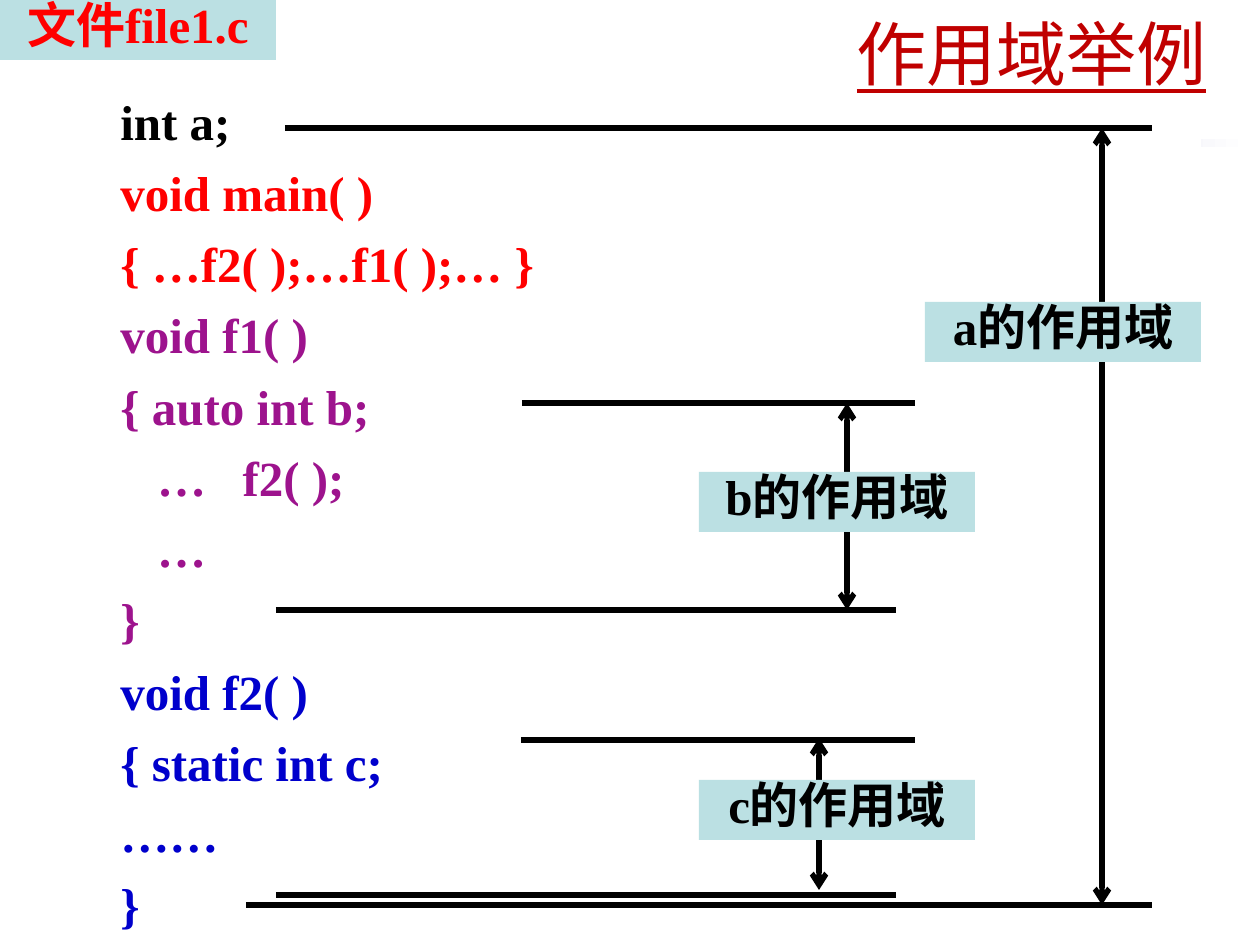
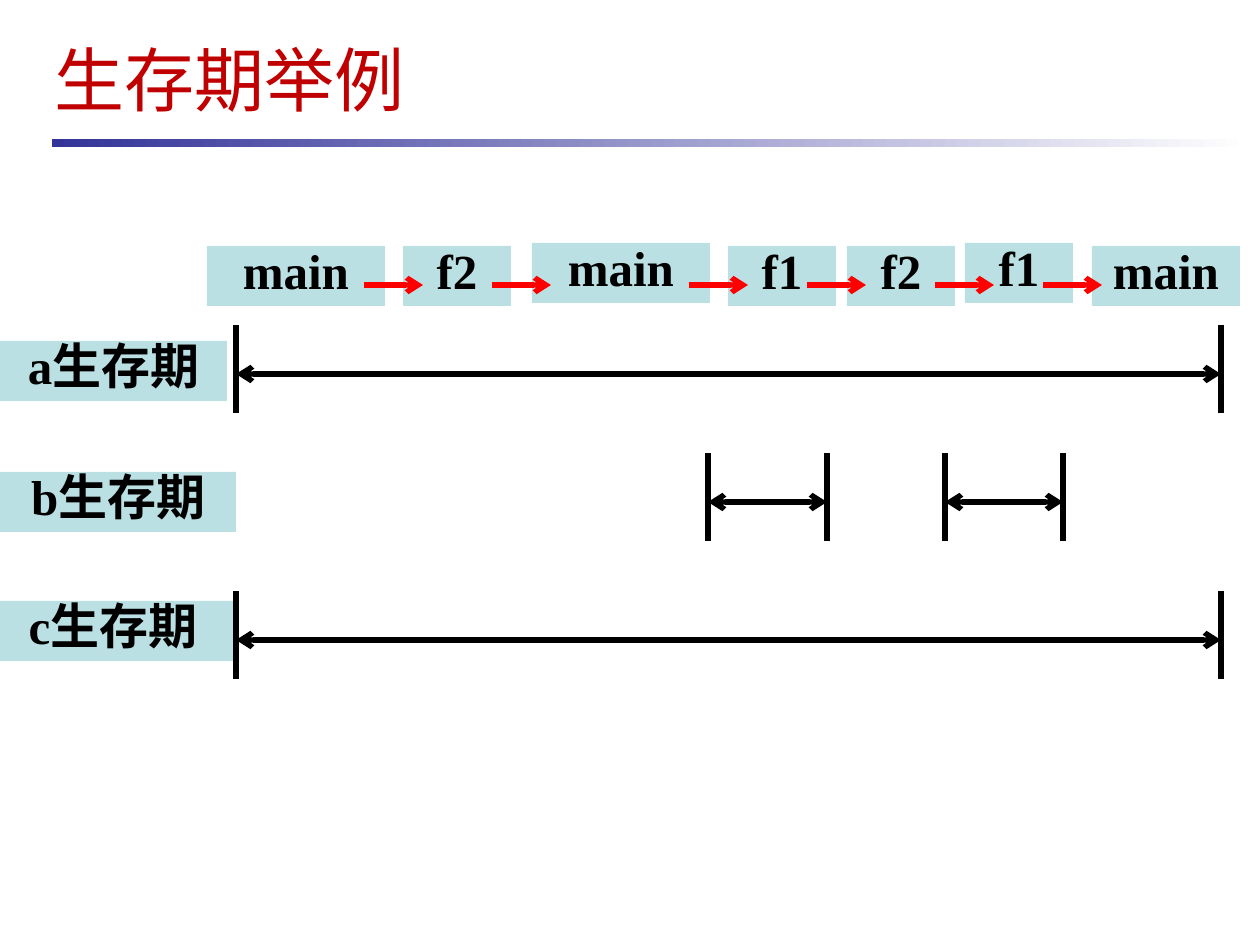
from lxml import etree
from pptx import Presentation
from pptx import util as u
from pptx.dml.color import RGBColor
from pptx.enum import shapes, text
from pptx.oxml.ns import qn

PX = 914400 / 126  # EMU in one px
LATIN, CJK = "Times New Roman", "Noto Sans CJK SC"
BLACK, WHITE, RED = "000000", "FFFFFF", "FF0000"
PURPLE, BLUE, TITLE_RED = "9D138D", "0000CC", "C00000"
LABEL_FILL, RULE_START = "BBE0E3", "333399"
LABEL_HEIGHT = 60

# Slide 1: code coloured by function, and the scope of each variable
CODE = [
    (BLACK, ["int a;"]),
    (RED, ["void main( )", "{ …f2( );…f1( );… }"]),
    (PURPLE, ["void f1( )", "{ auto int b;", "   …   f2( );", "   …", "}"]),
    (BLUE, ["void f2( )", "{ static int c;", "……", "}"]),
]
# name, label left and top, arrow x, arrow top and bottom, top line, bottom line
SCOPES = [
    ("a", (925, 302), 1102, (128, 905), (285, 128, 1152), (246, 905, 1152)),
    ("b", (699, 472), 847, (403, 610), (522, 403, 915), (276, 610, 896)),
    ("c", (699, 780), 819, (738, 890), (521, 740, 915), (276, 895, 896)),
]

# Slide 2: call order (name, left, top, width) and lifetimes
CALLS = [
    ("main", 207, 246, 178), ("f2", 403, 246, 108), ("main", 532, 243, 178),
    ("f1", 728, 246, 108), ("f2", 847, 246, 108), ("f1", 965, 243, 108),
    ("main", 1092, 246, 148),
]
CALL_ARROWS = [364, 492, 689, 807, 935, 1043]
CALL_ARROW_Y, CALL_ARROW_LENGTH = 285, 59
# name, label left, top and width, arrow y, start and end of each lifetime
LIFETIMES = [
    ("a", (0, 341, 227), 374, [(236, 1221)]),
    ("b", (0, 472, 236), 502, [(708, 827), (945, 1063)]),
    ("c", (-10, 601, 246), 640, [(236, 1221)]),
]
TICK_ABOVE, TICK_BELOW = 49, 39


def px(*lengths):
    return [u.Emu(round(length * PX)) for length in lengths]


def color(hex_value):
    return RGBColor.from_string(hex_value)


def add_span(para, words, size, hex_value, bold=False, underline=None, latin=LATIN):
    span = para.add_run()
    span.text = words
    span.font.size = u.Pt(size)
    span.font.bold = bold
    span.font.underline = underline
    span.font.color.rgb = color(hex_value)
    span.font.name = latin
    etree.SubElement(span.font._element, qn("a:ea"), typeface=CJK)


def add_block(page, left, top, width, height, fill=None):
    block = page.shapes.add_shape(
        shapes.MSO_SHAPE.RECTANGLE, *px(left, top, width, height))
    block.shadow.inherit = False
    block.line.fill.background()
    if fill:
        block.fill.solid()
        block.fill.fore_color.rgb = color(fill)
    return block


def add_label(page, words, left, top, width=276, hex_value=BLACK):
    frame = add_block(page, left, top, width, LABEL_HEIGHT, LABEL_FILL).text_frame
    frame.word_wrap = True
    frame.vertical_anchor = text.MSO_ANCHOR.TOP
    para = frame.paragraphs[0]
    para.alignment = text.PP_ALIGN.CENTER
    para.line_spacing = 0.8
    add_span(para, words, 28, hex_value, bold=True)


def add_line(page, x1, y1, x2, y2, hex_value=BLACK, ends=()):
    line = page.shapes.add_connector(
        shapes.MSO_CONNECTOR.STRAIGHT, *px(x1, y1, x2, y2))
    line.line.width = u.Pt(3)
    line.line.color.rgb = color(hex_value)
    for end in ends:
        etree.SubElement(line.line._ln, qn("a:" + end), type="arrow")
    etree.SubElement(line._element.spPr, qn("a:effectLst"))


def add_text_box(page, left, top, width, height):
    frame = page.shapes.add_textbox(*px(left, top, width, height)).text_frame
    frame.word_wrap = True
    return frame


def add_title(page, words, place, align, **style):
    frame = add_text_box(page, *place)
    frame.vertical_anchor = text.MSO_ANCHOR.MIDDLE
    para = frame.paragraphs[0]
    para.alignment = align
    add_span(para, words, 40, TITLE_RED, **style)


def add_page(deck):
    """Blank page with the fading rule."""
    page = deck.slides.add_slide(deck.slide_layouts[6])
    rule = add_block(page, 52, 139, 1198, 8)
    rule.fill.gradient()
    rule.fill.gradient_angle = 0
    for stop, position, hex_value in zip(
            rule.fill.gradient_stops, (0, 1), (RULE_START, WHITE)):
        stop.position = position
        stop.color.rgb = color(hex_value)
    return page


BOTH_ENDS = ("headEnd", "tailEnd")


def build_scope_page(deck):
    page = add_page(deck)
    add_block(page, 32, 105, 1169, 63, WHITE)  # hides most of the rule

    # Code listing
    frame = add_text_box(page, 108, 85, 640, 840)
    lines = [(hex_value, line) for hex_value, group in CODE for line in group]
    for number, (hex_value, line) in enumerate(lines):
        para = frame.add_paragraph() if number else frame.paragraphs[0]
        if number:
            para.space_before = u.Pt(7.1)
        add_span(para, line, 28, hex_value, bold=True)

    # Scope arrows, labels and limits
    for name, place, x, (top, bottom), *limits in SCOPES:
        add_line(page, x, top, x, bottom, ends=BOTH_ENDS)
        add_label(page, name + "的作用域", *place)
        for left, y, right in limits:
            add_line(page, left, y, right, y)

    add_label(page, "文件file1.c", 0, 0, hex_value=RED)
    add_title(page, "作用域举例", (353, 21, 866, 63), text.PP_ALIGN.RIGHT,
              underline=True)


def build_lifetime_page(deck):
    page = add_page(deck)

    # Call order
    for call in CALLS:
        add_label(page, *call)
    for left in CALL_ARROWS:
        add_line(page, left, CALL_ARROW_Y, left + CALL_ARROW_LENGTH, CALL_ARROW_Y,
                 RED, ends=("tailEnd",))

    # Lifetimes between ticks
    for name, place, y, periods in LIFETIMES:
        add_label(page, name + "生存期", *place)
        for start, end in periods:
            add_line(page, start, y, end, y, ends=BOTH_ENDS)
            for x in (start, end):
                add_line(page, x, y - TICK_ABOVE, x, y + TICK_BELOW)

    add_title(page, "生存期举例", (42, 42, 1177, 73), text.PP_ALIGN.LEFT, latin=CJK)


def main():
    deck = Presentation()
    deck.slide_width, deck.slide_height = px(1260, 945)
    build_scope_page(deck)
    build_lifetime_page(deck)
    deck.save("out.pptx")


if __name__ == "__main__":
    main()
